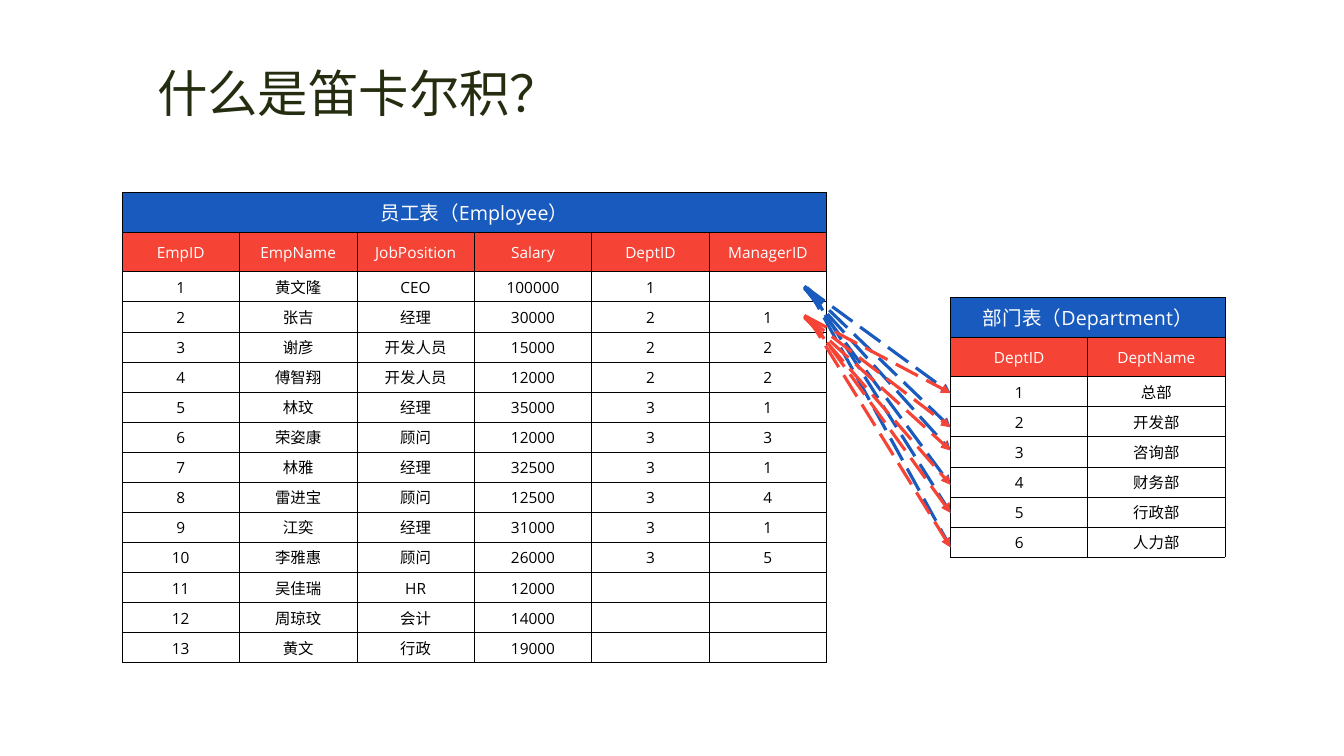
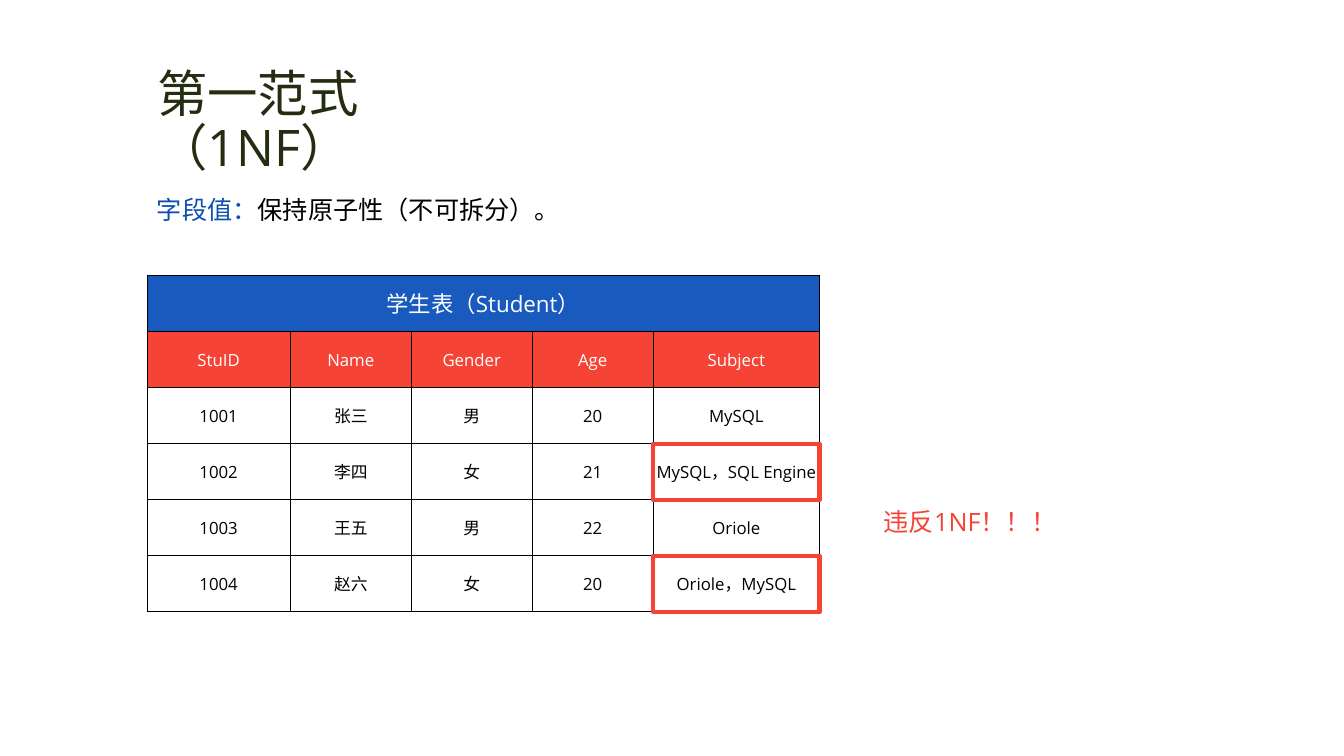
from dataclasses import dataclass

from lxml import etree
from pptx import Presentation
from pptx.dml.color import RGBColor
from pptx.enum import dml, shapes, text
from pptx.oxml.ns import qn
from pptx.util import Pt


@dataclass(frozen=True)
class Theme:
    font: str = "Open Sans"
    title: str = "242D10"
    blue: str = "185ABD"
    accent: str = "0C4EB2"
    red: str = "F54336"
    black: str = "000000"
    white: str = "FFFFFF"
    title_size: float = 36
    body_size: float = 18
    border: float = 0.5


theme = Theme()


def write(frame, spans, size, align=text.PP_ALIGN.LEFT, spacing=None,
          anchor=text.MSO_ANCHOR.TOP, margins=(7.2, 3.6, 7.2, 3.6)):
    """Fill a text frame with one paragraph of (text, colour) spans."""
    frame.word_wrap = True
    frame.auto_size = text.MSO_AUTO_SIZE.NONE
    frame.vertical_anchor = anchor
    (frame.margin_left, frame.margin_top,
     frame.margin_right, frame.margin_bottom) = map(Pt, margins)
    para = frame.paragraphs[0]
    para.alignment = align
    if spacing:
        para.line_spacing = spacing
    for words, colour in spans:
        if not words:
            continue
        span = para.add_run()
        span.text = words
        span.font.size = Pt(size)
        span.font.name = theme.font
        span.font.color.rgb = RGBColor.from_string(colour)
        etree.SubElement(span.font._element, qn("a:ea"), typeface=theme.font)
    etree.SubElement(para._p, qn("a:endParaRPr"), sz=str(size * 100))


def draw_table(page, left, top, widths, heights, rows, caption_size, size):
    """Draw a table with a merged caption row, a header row and data rows."""
    frame = page.shapes.add_table(len(rows), len(widths), Pt(left), Pt(top),
                                  Pt(sum(widths)), Pt(sum(heights)))
    table = frame.table
    table.first_row = table.horz_banding = False
    for column, width in zip(table.columns, widths):
        column.width = Pt(width)
    for row, height in zip(table.rows, heights):
        row.height = Pt(height)
    table.cell(0, 0).merge(table.cell(0, len(widths) - 1))
    fills = {0: theme.blue, 1: theme.red}
    for r, values in enumerate(rows):
        for c in range(len(widths)):
            cell = table.cell(r, c)
            properties = cell._tc.get_or_add_tcPr()
            for side in ("a:lnL", "a:lnR", "a:lnT", "a:lnB"):
                edge = etree.SubElement(properties, qn(side),
                                        w=str(Pt(theme.border)))
                fill = etree.SubElement(edge, qn("a:solidFill"))
                etree.SubElement(fill, qn("a:srgbClr"), val=theme.black)
            if r in fills:
                cell.fill.solid()
                cell.fill.fore_color.rgb = RGBColor.from_string(fills[r])
            else:
                cell.fill.background()
            cell.vertical_anchor = text.MSO_ANCHOR.MIDDLE
            (cell.margin_left, cell.margin_top, cell.margin_right,
             cell.margin_bottom) = map(Pt, (0.7, 0.7, 0.7, 0))
            # The cell carries its own anchor and margins
            words = values[c] if c < len(values) else ""
            para = cell.text_frame.paragraphs[0]
            para.alignment = text.PP_ALIGN.CENTER
            cell_size = size if r else caption_size
            if words:
                span = para.add_run()
                span.text = words
                span.font.size = Pt(cell_size)
                span.font.name = theme.font
                span.font.color.rgb = RGBColor.from_string(
                    theme.white if r in fills else theme.black)
                etree.SubElement(span.font._element, qn("a:ea"),
                                 typeface=theme.font)
            etree.SubElement(para._p, qn("a:endParaRPr"),
                             sz=str(cell_size * 100))


deck = Presentation()
deck.slide_width, deck.slide_height = Pt(960), Pt(540)

pages = []
for heading, width in (("什么是笛卡尔积？", 306), ("第一范式（1NF）", 180)):
    page = deck.slides.add_slide(deck.slide_layouts[5])
    title = page.shapes.title
    title.left, title.top, title.width, title.height = map(
        Pt, (105, 45.4, width, 51))
    write(title.text_frame, [(heading, theme.title)], theme.title_size,
          spacing=0.9)
    pages.append(page)
product_page, normal_page = pages

# Cartesian product
employees = [
    ["员工表（Employee）"],
    ["EmpID", "EmpName", "JobPosition", "Salary", "DeptID", "ManagerID"],
    ["1", "黄文隆", "CEO", "100000", "1"],
    ["2", "张吉", "经理", "30000", "2", "1"],
    ["3", "谢彦", "开发人员", "15000", "2", "2"],
    ["4", "傅智翔", "开发人员", "12000", "2", "2"],
    ["5", "林玟", "经理", "35000", "3", "1"],
    ["6", "荣姿康", "顾问", "12000", "3", "3"],
    ["7", "林雅", "经理", "32500", "3", "1"],
    ["8", "雷进宝", "顾问", "12500", "3", "4"],
    ["9", "江奕", "经理", "31000", "3", "1"],
    ["10", "李雅惠", "顾问", "26000", "3", "5"],
    ["11", "吴佳瑞", "HR", "12000"],
    ["12", "周琼玟", "会计", "14000"],
    ["13", "黄文", "行政", "19000"],
]
departments = [
    ["部门表（Department）"],
    ["DeptID", "DeptName"],
    ["1", "总部"],
    ["2", "开发部"],
    ["3", "咨询部"],
    ["4", "财务部"],
    ["5", "行政部"],
    ["6", "人力部"],
]
department_left = 679
for rows, left, top, widths in (
        (employees, 87.2, 137.3, [83.9] * 6),
        (departments, department_left, 212.3, [98] * 2)):
    heights = [28.4] * 2 + [21.5] * (len(rows) - 2)
    draw_table(product_page, left, top, widths, heights, rows, 14, 11)

# Start x, start y and end y of the six arrows from one employee
arrows = [(574.6, 204.5, 280.8), (574.6, 204.5, 305.3), (574.6, 206, 321.8),
          (574.6, 205.2, 346.3), (578.2, 206.6, 366.3), (576.7, 205.2, 391)]
for colour, drop in ((theme.blue, 0), (theme.red, 20.9)):
    for start_x, start_y, end_y in arrows:
        arrow = product_page.shapes.add_connector(
            shapes.MSO_CONNECTOR.STRAIGHT, Pt(start_x), Pt(start_y + drop),
            Pt(department_left), Pt(end_y))
        arrow.line.color.rgb = RGBColor.from_string(colour)
        arrow.line.width = Pt(2.25)
        arrow.line.dash_style = dml.MSO_LINE.LONG_DASH
        etree.SubElement(arrow.line._get_or_add_ln(), qn("a:tailEnd"),
                         type="triangle")
        etree.SubElement(arrow._element.spPr, qn("a:effectLst"))

# First normal form
students = [
    ["学生表（Student）"],
    ["StuID", "Name", "Gender", "Age", "Subject"],
    ["1001", "张三", "男", "20", "MySQL"],
    ["1002", "李四", "女", "21", "MySQL，SQL Engine"],
    ["1003", "王五", "男", "22", "Oriole"],
    ["1004", "赵六", "女", "20", "Oriole，MySQL"],
]
table_left, table_top, row_height = 105, 197, 40
student_widths = [102.4, 86.4, 86.4, 86.4, 118.8]
draw_table(normal_page, table_left, table_top, student_widths,
           [row_height] * len(students), students, 16, 12)

for row in (3, 5):
    mark = normal_page.shapes.add_shape(
        shapes.MSO_SHAPE.RECTANGLE, Pt(table_left + sum(student_widths[:-1])),
        Pt(table_top + row * row_height), Pt(student_widths[-1]),
        Pt(row_height))
    mark.shadow.inherit = False
    mark.fill.background()
    mark.line.color.rgb = RGBColor.from_string(theme.red)
    mark.line.width = Pt(3)

for left, top, width, spans in (
        (105, 124.6, 329, [("字段值：", theme.accent),
                           ("保持原子性（不可拆分）。", theme.black)]),
        (624.2, 347, 178, [("违反1NF！！！", theme.red)])):
    box = normal_page.shapes.add_textbox(Pt(left), Pt(top), Pt(width), Pt(36.7))
    write(box.text_frame, spans, theme.body_size, spacing=1.5)

deck.save("out.pptx")
